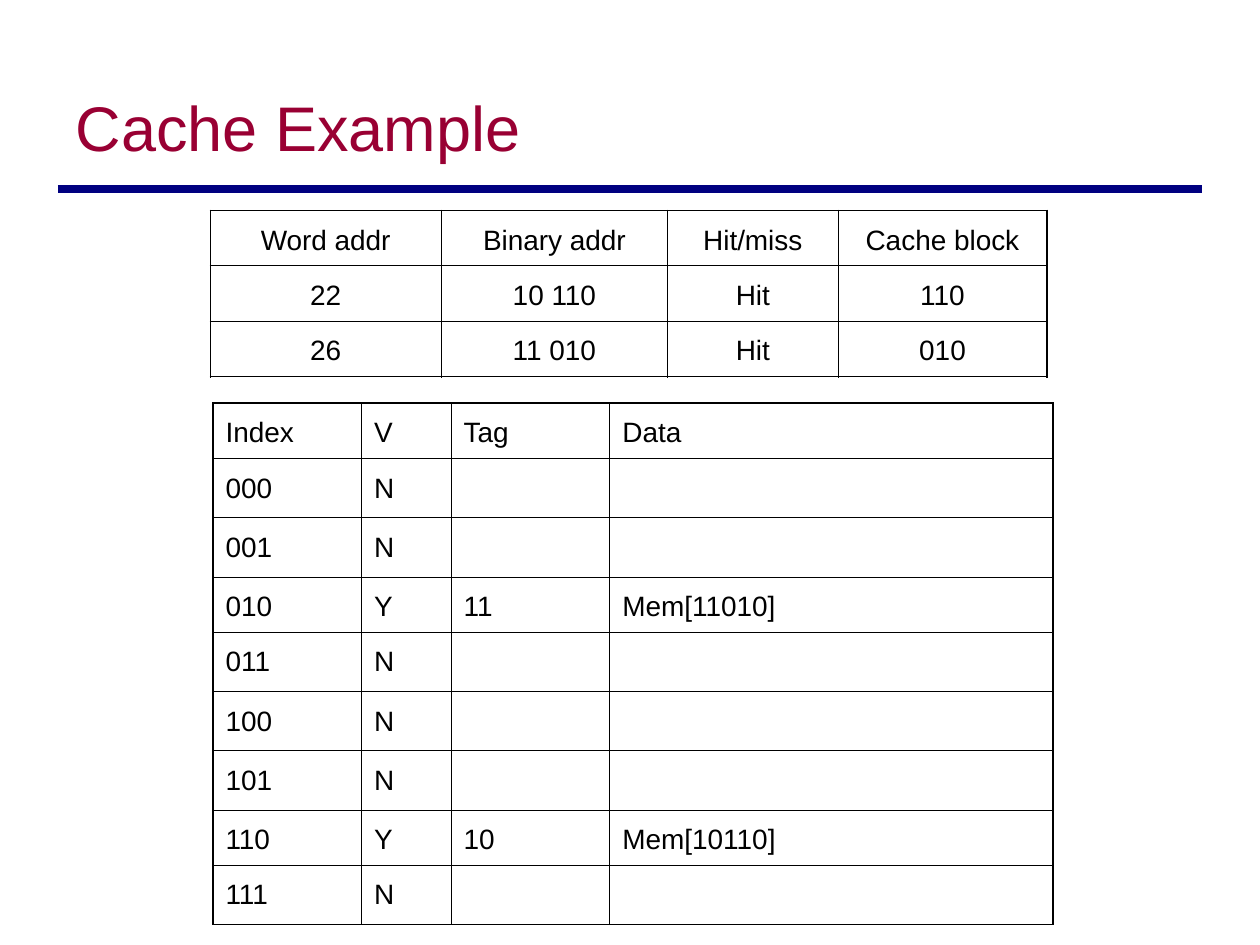
from lxml import etree
from pptx import Presentation, util as u
from pptx.dml.color import RGBColor
from pptx.enum import shapes, text
from pptx.oxml.ns import qn

# The page grid: one unit is a tenth of the slide's width
COLUMNS, ROWS = 10, 7.5
THICK, MEDIUM, THIN = 1.08, 0.75, 0.45


def colour(value):
    return RGBColor.from_string(value)


def grid(units):
    return u.Inches(units)


class SlideBuilder:
    font = "Arial"
    ink, title_ink, rule_ink = "000000", "990033", "000080"
    title_size, cell_size, spacing = 36, 16, 1.26

    def __init__(self, deck):
        self.page = deck.slides.add_slide(deck.slide_layouts[5])

    def add_words(self, frame, words, size, ink, align=text.PP_ALIGN.LEFT):
        para = frame.paragraphs[0]
        para.alignment = align
        para.line_spacing = self.spacing
        span = para.add_run()
        span.text = words
        span.font.name = self.font
        span.font.size = u.Pt(size)
        span.font.color.rgb = colour(ink)

    def title(self, words, left, top, width, height):
        box = self.page.shapes.title
        box.left, box.top = grid(left), grid(top)
        box.width, box.height = grid(width), grid(height)
        frame = box.text_frame
        frame.auto_size = text.MSO_AUTO_SIZE.NONE
        frame.vertical_anchor = text.MSO_ANCHOR.MIDDLE
        self.add_words(frame, words, self.title_size, self.title_ink)

    def rule(self, left, right, top, weight):
        line = self.page.shapes.add_connector(
            shapes.MSO_CONNECTOR.STRAIGHT,
            grid(left), grid(top), grid(right), grid(top))
        line.line.color.rgb = colour(self.rule_ink)
        line.line.width = u.Pt(weight)
        etree.SubElement(line._element.spPr, qn("a:effectLst"))

    def borders(self, cell, weights):
        properties = cell._tc.get_or_add_tcPr()
        for position, (side, weight) in enumerate(zip("LRTB", weights)):
            edge = etree.Element(qn(f"a:ln{side}"), w=str(u.Pt(weight)))
            fill = etree.SubElement(edge, qn("a:solidFill"))
            etree.SubElement(fill, qn("a:srgbClr"), val=self.ink)
            properties.insert(position, edge)

    def table(self, records, left, top, widths, heights, align, body_line):
        last_row, last_column = len(records) - 1, len(widths) - 1
        table = self.page.shapes.add_table(
            len(records), len(widths), grid(left), grid(top),
            grid(sum(widths)), grid(sum(heights))).table
        table.first_row = table.horz_banding = False
        for column, width in zip(table.columns, widths):
            column.width = grid(width)
        for row, height in zip(table.rows, heights):
            row.height = grid(height)

        # Thick frame, medium line below the header, body_line elsewhere
        levels = [THICK, MEDIUM] + [body_line] * (last_row - 1) + [THICK]
        for r, record in enumerate(records):
            for c, words in enumerate(record):
                cell = table.cell(r, c)
                cell.fill.background()
                self.borders(cell, (THIN if c else THICK,
                                    THIN if c < last_column else THICK,
                                    levels[r], levels[r + 1]))
                if words:
                    self.add_words(cell.text_frame, words, self.cell_size,
                                   self.ink, align)


def main():
    deck = Presentation()
    deck.slide_width, deck.slide_height = grid(COLUMNS), grid(ROWS)
    slide = SlideBuilder(deck)

    # Heading and rule
    slide.title("Cache Example", 0.5, 0.3, 9, 1.25)
    slide.rule(0.46, COLUMNS - 0.46, 1.5, 4.5)

    # Cache contents: only the valid blocks hold a tag and data
    valid = {"010": ("11", "Mem[11010]"), "110": ("10", "Mem[10110]")}
    contents = [("Index", "V", "Tag", "Data")]
    for number in range(8):
        index = f"{number:03b}"
        contents.append((index, "Y" if index in valid else "N",
                         *valid.get(index, ("", ""))))
    heights = [0.44 if all(record) else 0.47 for record in contents]
    slide.table(contents, 1.69, 3.2, (1.18, 0.71, 1.26, 3.52), heights,
                text.PP_ALIGN.LEFT, THIN)

    # Memory accesses
    accesses = [("Word addr", "Binary addr", "Hit/miss", "Cache block"),
                ("22", "10 110", "Hit", "110"),
                ("26", "11 010", "Hit", "010")]
    slide.table(accesses, 1.67, 1.67, (1.83, 1.8, 1.35, 1.66),
                [0.44] * len(accesses), text.PP_ALIGN.CENTER, MEDIUM)

    deck.save("out.pptx")


if __name__ == "__main__":
    main()
